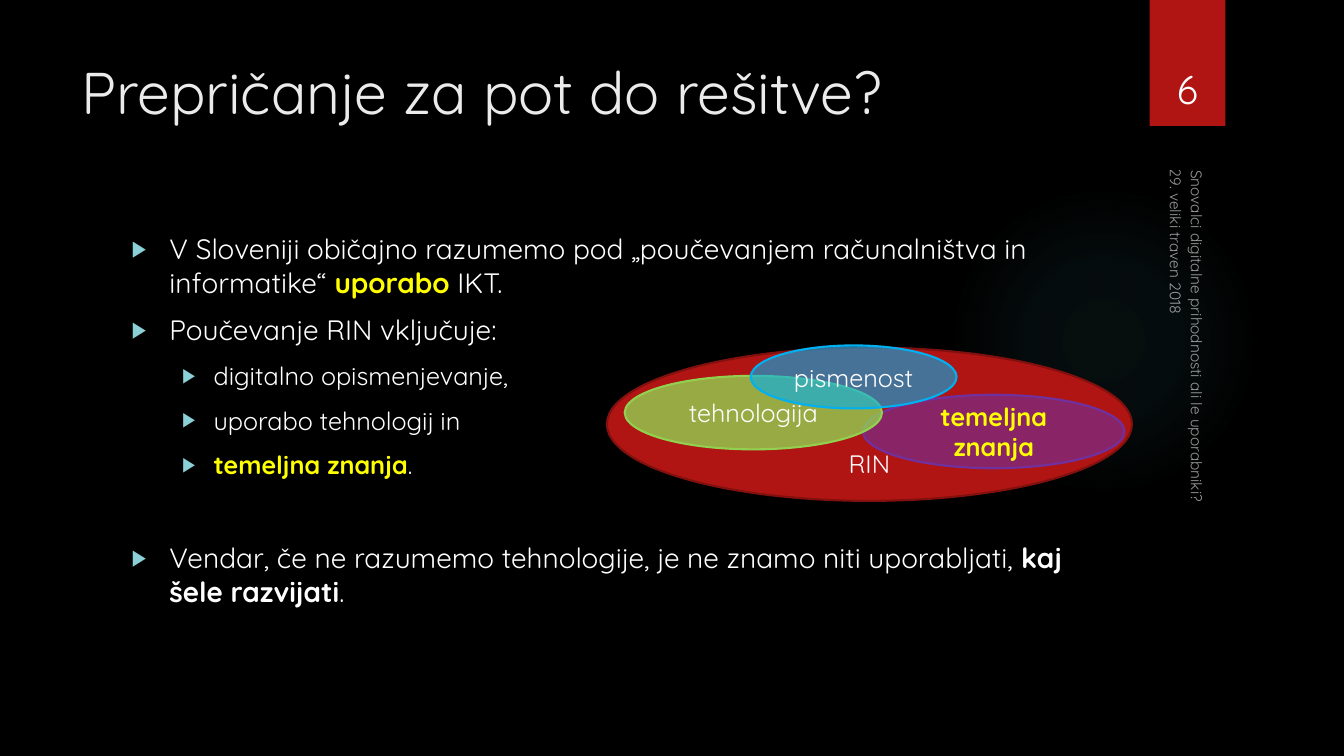
from lxml.etree import SubElement
from pptx import Presentation
from pptx.dml.color import RGBColor as RGB
from pptx.enum.shapes import MSO_SHAPE as SHAPE
from pptx.enum.text import MSO_ANCHOR as ANCHOR, PP_ALIGN as ALIGN
from pptx.oxml import parse_xml
from pptx.oxml.ns import nsdecls, qn
from pptx.util import Pt

PX = 9525
COLORS = {
    "black": "000000", "white": "FFFFFF", "title": "EBEBEB", "yellow": "FFFF00",
    "red": "B01513", "dark red": "82100E", "purple": "7030A0", "green": "92D050",
    "blue": "00B0F0", "bullet": "8AD0D6", "glow": "50B9C1",
}


def write(paragraph, text, size, color="white", bold=False):
    run = paragraph.add_run()
    run.text = text
    values = {"name": "Quicksand", "size": Pt(size), "bold": bold}
    for name, value in values.items():
        setattr(run.font, name, value)
    run.font.color.rgb = RGB.from_string(COLORS[color])
    return run


def fade(parent, opacity):
    color = next(parent.iter(qn("a:srgbClr")))
    SubElement(color, qn("a:alpha")).set("val", str(opacity * 1000))


presentation = Presentation()
presentation.slide_width = 1280 * PX
presentation.slide_height = 720 * PX
slide = presentation.slides.add_slide(presentation.slide_layouts[6])
slide.background.fill.solid()
slide.background.fill.fore_color.rgb = RGB.from_string(COLORS["black"])

glow = slide.shapes.add_shape(SHAPE.OVAL, *(n * PX for n in (903, 176, 296, 296)))
glow.shadow.inherit = False
glow.line.fill.background()
stops = "".join(
    f'<a:gs pos="{position * 1000}"><a:srgbClr val="{COLORS["glow"]}">'
    f'<a:alpha val="{opacity * 1000}"/></a:srgbClr></a:gs>'
    for position, opacity in ((0, 7), (36, 6), (69, 0))
)
gradient = parse_xml(
    f'<a:gradFill {nsdecls("a")}><a:gsLst>{stops}</a:gsLst><a:path path="circle">'
    '<a:fillToRect l="50000" t="50000" r="50000" b="50000"/></a:path></a:gradFill>'
)
glow.element.spPr.find(qn("a:prstGeom")).addnext(gradient)

ribbon = slide.shapes.add_shape(SHAPE.RECTANGLE, *(n * PX for n in (1095, 0, 72, 120)))
ribbon.fill.solid()
ribbon.fill.fore_color.rgb = RGB.from_string(COLORS["red"])
ribbon.line.fill.background()
ribbon.shadow.inherit = False
ribbon.element.spPr.find(qn("a:effectLst")).append(parse_xml(
    f'<a:outerShdw {nsdecls("a")} blurRad="{Pt(3)}" dist="{Pt(2)}" dir="5400000">'
    f'<a:srgbClr val="{COLORS["black"]}"><a:alpha val="45000"/></a:srgbClr></a:outerShdw>'
))

LABELS = [
    ("Prepričanje za pot do rešitve?", (68, 48, 988, 147), 42, "title", 0, 100, ANCHOR.TOP, ALIGN.LEFT),
    ("29. veliki traven 2018", (1021, 232, 193, 32), 11, "white", 90, 60, ANCHOR.TOP, ALIGN.LEFT),
    ("Snovalci digitalne prihodnosti ali le uporabniki?", (940, 339, 405, 32), 11, "white", 90, 60,
     ANCHOR.BOTTOM, ALIGN.LEFT),
    ("6", (1087, 31, 88, 81), 28, "white", 0, 100, ANCHOR.BOTTOM, ALIGN.CENTER),
]
for text, place, size, color, rotation, opacity, anchor, alignment in LABELS:
    label = slide.shapes.add_textbox(*(n * PX for n in place))
    label.rotation = rotation
    label.text_frame.word_wrap = True
    label.text_frame.vertical_anchor = anchor
    paragraph = label.text_frame.paragraphs[0]
    paragraph.alignment = alignment
    run = write(paragraph, text, size, color)
    if opacity < 100:
        fade(run.font.color and paragraph.runs[0]._r, opacity)

POINTS = [
    (0, 10, [("V Sloveniji običajno razumemo pod „poučevanjem računalništva in informatike“ ",),
             ("uporabo", "yellow", True), (" IKT.",)]),
    (0, 10, [("Poučevanje RIN vključuje:",)]),
    (1, 10, [("digitalno opismenjevanje,",)]),
    (1, 10, [("uporabo tehnologij in",)]),
    (1, 10, [("temeljna znanja", "yellow", True), (".",)]),
    (0, 44, [("Vendar, če ne razumemo tehnologije, je ne znamo niti uporabljati, ",),
             ("kaj šele razvijati", "white", True), (".",)]),
]
LEVELS = [(20, 36, 36), (18, 78, 30)]
body = slide.shapes.add_textbox(*(n * PX for n in (116, 216, 939, 441))).text_frame
body.word_wrap = True
for index, (level, gap, runs) in enumerate(POINTS):
    paragraph = body.add_paragraph() if index else body.paragraphs[0]
    size, margin, hanging = LEVELS[level]
    paragraph.level = level
    paragraph.space_before = Pt(gap)
    properties = paragraph._p.get_or_add_pPr()
    properties.set("marL", str(margin * PX))
    properties.set("indent", str(-hanging * PX))
    bullet_color = SubElement(properties, qn("a:buClr"))
    SubElement(bullet_color, qn("a:srgbClr")).set("val", COLORS["bullet"])
    SubElement(properties, qn("a:buSzPct")).set("val", "80000")
    SubElement(properties, qn("a:buFont")).set("typeface", "Arial")
    SubElement(properties, qn("a:buChar")).set("char", "▶")
    for text, *style in runs:
        write(paragraph, text, size, *style)

ELLIPSES = [
    ("RIN", (578, 331, 500, 146), "red", "dark red", 100, "white", False),
    ("temeljna znanja", (822, 376, 249, 70), "purple", "purple", 60, "yellow", True),
    ("tehnologija", (595, 358, 245, 70), "green", "green", 80, "white", False),
    ("pismenost", (715, 329, 196, 60), "blue", "blue", 60, "white", False),
]
diagram = slide.shapes.add_group_shape()
for text, place, fill, outline, opacity, color, bold in ELLIPSES:
    ellipse = diagram.shapes.add_shape(SHAPE.OVAL, *(n * PX for n in place))
    ellipse.shadow.inherit = False
    ellipse.fill.solid()
    ellipse.fill.fore_color.rgb = RGB.from_string(COLORS[fill])
    if opacity < 100:
        fade(ellipse.element.spPr, opacity)
    ellipse.line.color.rgb = RGB.from_string(COLORS[outline])
    ellipse.line.width = Pt(1.5)
    frame = ellipse.text_frame
    frame.word_wrap = True
    frame.vertical_anchor = ANCHOR.MIDDLE
    if text == "RIN":
        frame.vertical_anchor = ANCHOR.BOTTOM
        frame.margin_bottom = 0
    frame.paragraphs[0].alignment = ALIGN.CENTER
    write(frame.paragraphs[0], text, 18, color, bold)

presentation.save("out.pptx")
